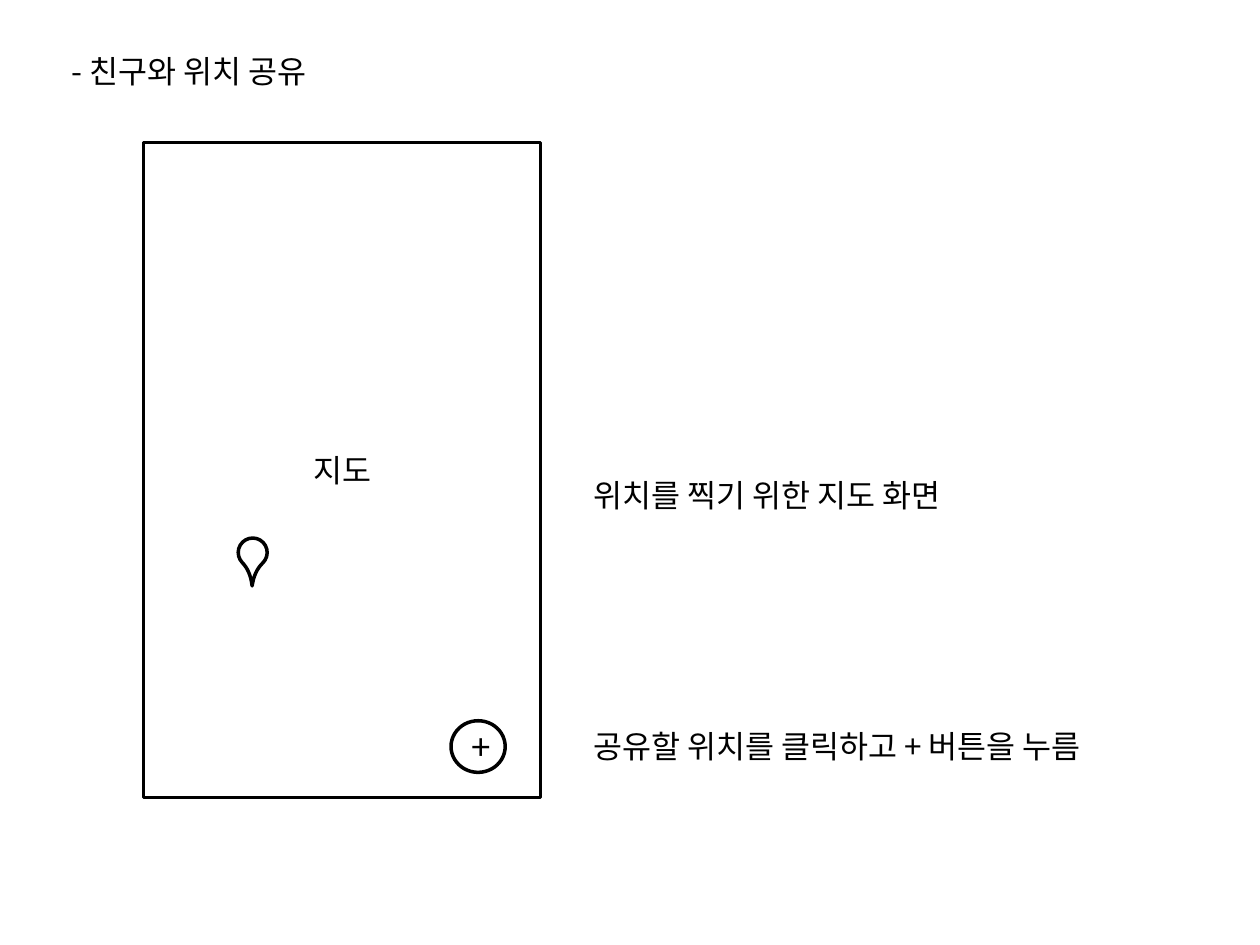
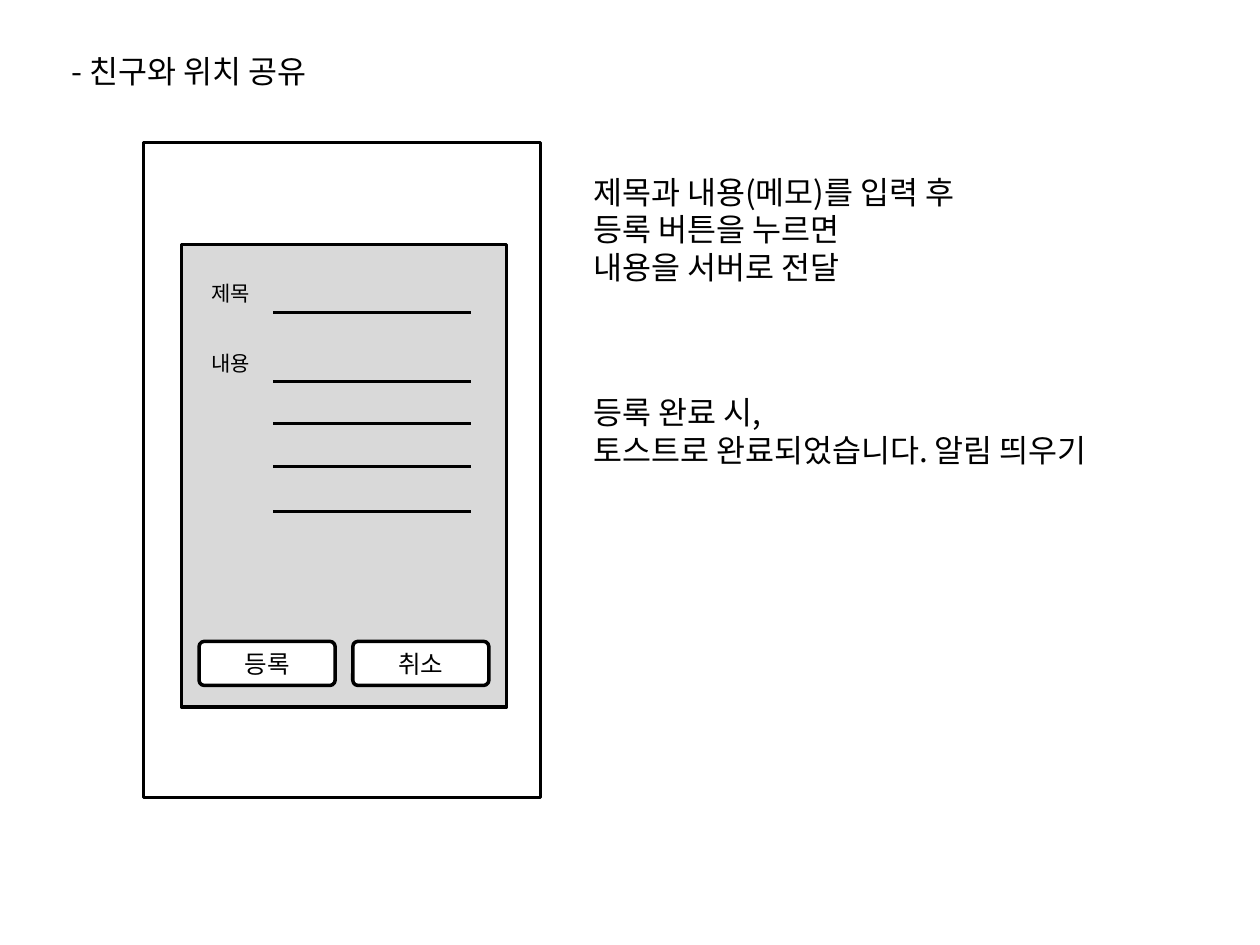
"""Build two wireframe slides for sharing a location with friends."""
from lxml.etree import SubElement
from pptx import Presentation
from pptx.dml.color import RGBColor
from pptx.enum.shapes import MSO_CONNECTOR as Connector, MSO_SHAPE as Shape
from pptx.enum.text import MSO_ANCHOR as Anchor, MSO_AUTO_SIZE as AutoSize, PP_ALIGN as Align
from pptx.oxml.ns import qn
from pptx.util import Emu, Pt

EMU_PER_PX = 9144
FONT = "Noto Sans CJK KR"
BLACK = RGBColor(0x00, 0x00, 0x00)
WHITE = RGBColor(0xFF, 0xFF, 0xFF)
PANEL_GREY = RGBColor(0xD9, 0xD9, 0xD9)
TITLE_ONLY = 5
NOTE_LEFT = 461
FIELD_LEFT, FIELD_RIGHT = 217, 374


def px(*lengths):
    return [Emu(length * EMU_PER_PX) for length in lengths]


class Wireframe:
    def __init__(self):
        self.deck = Presentation()
        self.deck.slide_width, self.deck.slide_height = px(1000, 750)
        self.page = None

    def add_page(self, title):
        self.page = self.deck.slides.add_slide(self.deck.slide_layouts[TITLE_ONLY])
        box = self.page.shapes.title
        box.left, box.top, box.width, box.height = px(47, 36, 234, 40)
        self.fit_text(box, [title], 18)

    def add_lines(self, frame, lines, size, align):
        for index, line in enumerate(lines):
            para = frame.add_paragraph() if index else frame.paragraphs[0]
            para.alignment = align
            span = para.add_run()
            span.text = line
            span.font.size = Pt(size)
            span.font.color.rgb = BLACK
            span.font.name = FONT
            SubElement(span.font._element, qn("a:ea"), typeface=FONT)

    def fit_text(self, box, lines, size):
        frame = box.text_frame
        frame.word_wrap = False
        frame.auto_size = AutoSize.SHAPE_TO_FIT_TEXT
        frame.vertical_anchor = Anchor.TOP
        self.add_lines(frame, lines, size, Align.LEFT)

    def label(self, left, top, width, height, *lines, size=18):
        box = self.page.shapes.add_textbox(*px(left, top, width, height))
        self.fit_text(box, lines, size)

    def shape(self, kind, left, top, width, height, text="", size=18, fill=None, bend=None, turn=0):
        box = self.page.shapes.add_shape(kind, *px(left, top, width, height))
        box.shadow.inherit = False
        box.rotation = turn
        if bend is not None:
            box.adjustments[0] = bend
        if fill is None:
            box.fill.background()
        else:
            box.fill.solid()
            box.fill.fore_color.rgb = fill
        box.line.color.rgb = BLACK
        box.line.width = Pt(2)
        if text:
            box.text_frame.vertical_anchor = Anchor.MIDDLE
            self.add_lines(box.text_frame, [text], size, Align.CENTER)

    def rule(self, left, right, y):
        line = self.page.shapes.add_connector(Connector.STRAIGHT, *px(left, y, right, y))
        line.line.color.rgb = BLACK
        line.line.width = Pt(1.5)
        SubElement(line._element.spPr, qn("a:effectLst"))

    def screen(self, text=""):
        self.add_page("- 친구와 위치 공유")
        self.shape(Shape.RECTANGLE, 114, 113, 315, 520, text)


def add_map_page(wireframe):
    wireframe.screen("지도")
    wireframe.shape(Shape.TEAR, 189, 427, 23, 23, bend=1.629, turn=136)
    wireframe.label(NOTE_LEFT, 373, 334, 40, "위치를 찍기 위한 지도 화면")
    wireframe.shape(Shape.OVAL, 358, 572, 43, 41, "+", size=20)
    wireframe.label(NOTE_LEFT, 572, 461, 40, "공유할 위치를 클릭하고 + 버튼을 누름")


def add_form_page(wireframe):
    wireframe.screen()
    wireframe.label(NOTE_LEFT, 132, 340, 101,
                    "제목과 내용(메모)를 입력 후", "등록 버튼을 누르면", "내용을 서버로 전달")
    wireframe.shape(Shape.RECTANGLE, 144, 194, 258, 367, fill=PANEL_GREY)
    for field, top in (("제목", 218), ("내용", 273)):
        wireframe.label(158, top, 54, 30, field, size=12)
    for y in (248, 303, 336, 370, 406):
        wireframe.rule(FIELD_LEFT, FIELD_RIGHT, y)
    for button, left in (("등록", 158), ("취소", 280)):
        wireframe.shape(Shape.ROUNDED_RECTANGLE, left, 509, 108, 35, button,
                        size=14, fill=WHITE, bend=0.12)
    wireframe.label(NOTE_LEFT, 307, 457, 71,
                    "등록 완료 시,", "토스트로 완료되었습니다. 알림 띄우기")


def main():
    wireframe = Wireframe()
    add_map_page(wireframe)
    add_form_page(wireframe)
    wireframe.deck.save("out.pptx")


if __name__ == "__main__":
    main()
